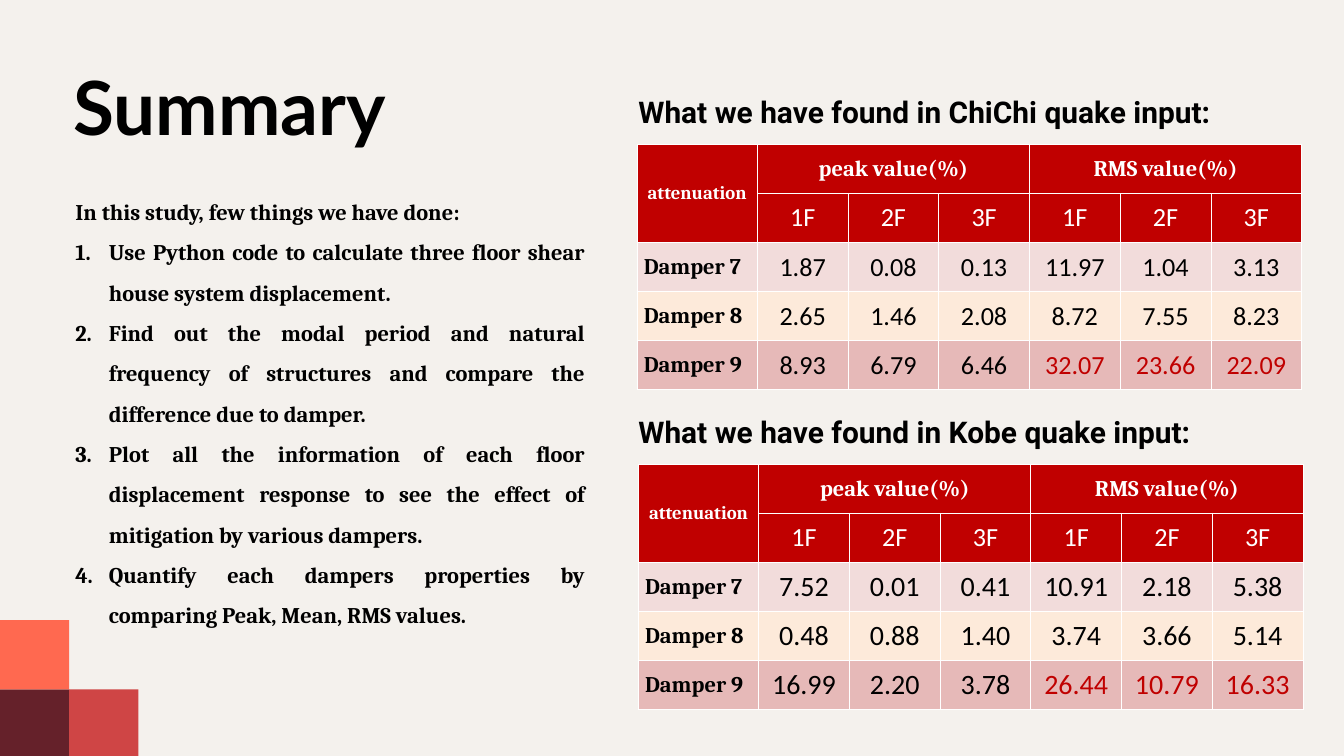
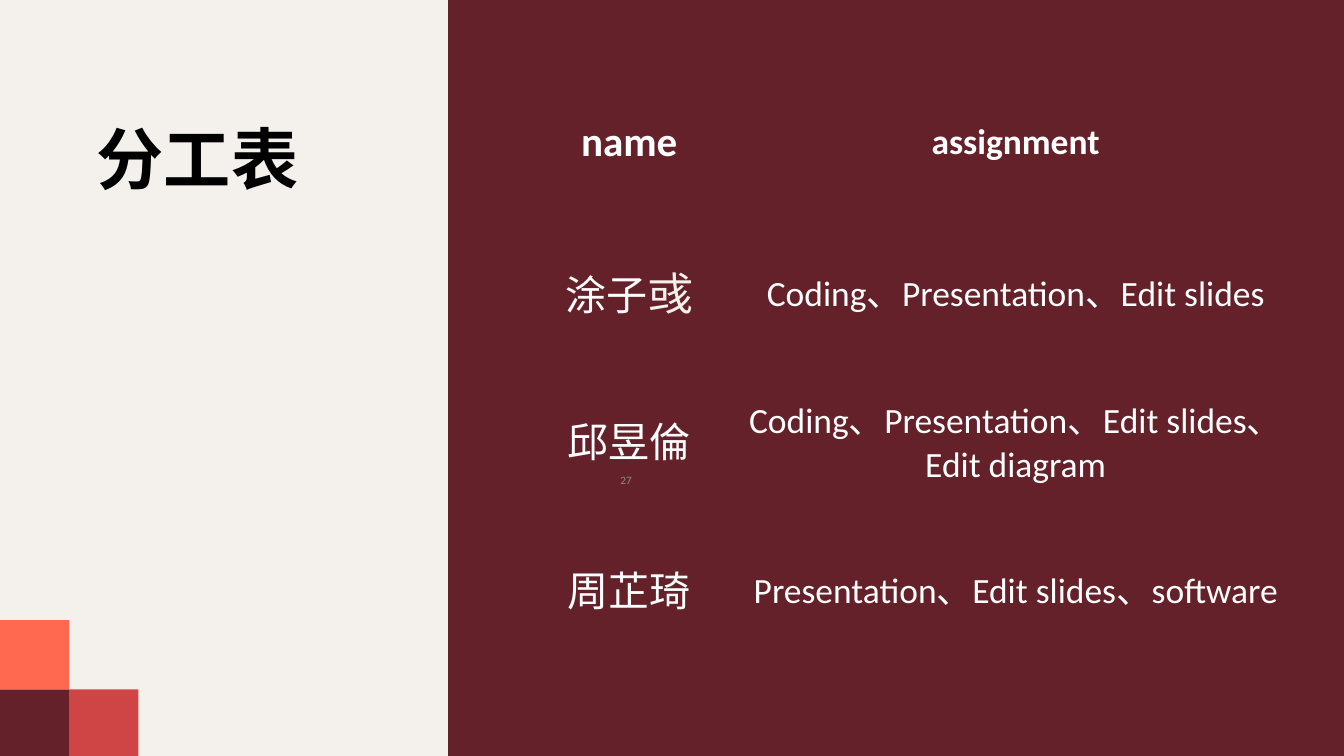
"""Build the summary slide and the division-of-work slide."""
from collections import namedtuple

from lxml.etree import SubElement
from pptx import Presentation
from pptx.dml.color import RGBColor
from pptx.enum.shapes import MSO_SHAPE
from pptx.enum.text import MSO_ANCHOR, MSO_AUTO_SIZE, PP_ALIGN
from pptx.oxml import parse_xml
from pptx.oxml.ns import nsdecls, qn
from pptx.util import Inches, Pt

CREAM = RGBColor(0xF4, 0xF1, 0xED)
WINE = RGBColor(0x65, 0x21, 0x2A)
BRICK = RGBColor(0xCF, 0x45, 0x45)
CORAL = RGBColor(0xFF, 0x69, 0x50)
RED = RGBColor(0xC0, 0x00, 0x00)
ROSE = RGBColor(0xF2, 0xDC, 0xDB)
PEACH = RGBColor(0xFD, 0xEA, 0xDA)
PINK = RGBColor(0xE6, 0xB9, 0xB8)
GREY = RGBColor(0x8C, 0x8C, 0x8C)
BLACK = RGBColor(0, 0, 0)
WHITE = RGBColor(0xFF, 0xFF, 0xFF)

CJK = "Noto Sans CJK SC"
NO_GRID = "{2D5ABB26-0587-4C30-8999-92F81FD0307C}"
Style = namedtuple("Style", "size font color bold", defaults=(BLACK, False))

HEADING = Style(32, "Roboto", bold=True)
BODY = Style(24, "Cambria", bold=True)
GROUP = BODY._replace(color=WHITE)
CORNER = GROUP._replace(size=20)
FLOOR = Style(28, "Calibri", WHITE)
NAME = Style(44, CJK, WHITE)
TASK = Style(38, "Calibri", WHITE)

STEPS = [
    "Use Python code to calculate three floor shear house system displacement.",
    "Find out the modal period and natural frequency of structures and compare "
    "the difference due to damper.",
    "Plot all the information of each floor displacement response to see the "
    "effect of mitigation by various dampers.",
    "Quantify each dampers properties by comparing Peak, Mean, RMS values.",
]
CHICHI = [
    ["1.87", "0.08", "0.13", "11.97", "1.04", "3.13"],
    ["2.65", "1.46", "2.08", "8.72", "7.55", "8.23"],
    ["8.93", "6.79", "6.46", "32.07", "23.66", "22.09"],
]
KOBE = [
    ["7.52", "0.01", "0.41", "10.91", "2.18", "5.38"],
    ["0.48", "0.88", "1.40", "3.74", "3.66", "5.14"],
    ["16.99", "2.20", "3.78", "26.44", "10.79", "16.33"],
]
WORK = [
    ([("涂子", NAME), ("彧", NAME._replace(size=48, color=CREAM))],
     "Coding、Presentation、Edit slides"),
    ([("邱昱倫", NAME)], "Coding、Presentation、Edit slides、Edit diagram"),
    ([("周芷琦", NAME)], "Presentation、Edit slides、software"),
]


class Deck:
    def __init__(self):
        self.prs = Presentation()
        self.prs.slide_width, self.prs.slide_height = Inches(20), Inches(11.25)
        self.s = None

    def slide(self, title, style, leading, left, top, width, height):
        self.s = self.prs.slides.add_slide(self.prs.slide_layouts[5])
        fill = self.s.background.fill
        fill.solid()
        fill.fore_color.rgb = CREAM
        sp = self.s.shapes.title
        sp.left, sp.top = Inches(left), Inches(top)
        sp.width, sp.height = Inches(width), Inches(height)
        p = self.frame(sp).paragraphs[0]
        p.alignment, p.line_spacing = PP_ALIGN.LEFT, Pt(leading)
        self.runs(p, [(title, style)])

    def frame(self, sp, inset=0, anchor=MSO_ANCHOR.TOP):
        tf = sp.text_frame
        tf.word_wrap, tf.auto_size = True, MSO_AUTO_SIZE.NONE
        tf.vertical_anchor = anchor
        tf.margin_left = tf.margin_right = Inches(inset)
        tf.margin_top = tf.margin_bottom = Inches(inset / 2)
        return tf

    def runs(self, p, parts):
        for text, style in parts:
            r = p.add_run()
            r.text = text
            r.font.size, r.font.name = Pt(style.size), style.font
            r.font.bold, r.font.color.rgb = style.bold, style.color
            if style.font == CJK:
                SubElement(r.font._element, qn("a:ea"), typeface=CJK)

    def text(self, left, top, width, height, inset=0, anchor=MSO_ANCHOR.TOP):
        sp = self.s.shapes.add_textbox(
            Inches(left), Inches(top), Inches(width), Inches(height))
        return self.frame(sp, inset, anchor)

    def heading(self, top, text):
        p = self.text(9.5, top, 9.26, 0.58).paragraphs[0]
        p.line_spacing = Pt(44.8)
        self.runs(p, [(text, HEADING)])

    def steps(self, tf, intro, items):
        for i, text in enumerate([intro, *items]):
            p = tf.add_paragraph() if i else tf.paragraphs[0]
            p.alignment, p.line_spacing = PP_ALIGN.JUSTIFY, 1.5
            if i:
                pPr = p._p.get_or_add_pPr()
                pPr.set("marL", str(Inches(0.5)))
                pPr.set("indent", str(-Inches(0.5)))
                SubElement(pPr, qn("a:buAutoNum"), type="arabicPeriod")
            self.runs(p, [(text, BODY)])

    def block(self, left, top, width, height, color):
        sp = self.s.shapes.add_shape(
            MSO_SHAPE.RECTANGLE,
            Inches(left), Inches(top), Inches(width), Inches(height))
        sp.shadow.inherit = False
        sp.fill.solid()
        sp.fill.fore_color.rgb = color
        sp.line.fill.background()

    def corner(self):
        side, top = 1.03, 9.23
        for col, row, color in [(0, 1, WINE), (1, 1, BRICK), (0, 0, CORAL)]:
            self.block(col * side, top + row * side, side, side, color)

    def table(self, left, top, cols, rows):
        gf = self.s.shapes.add_table(
            len(rows), len(cols), Inches(left), Inches(top),
            Inches(sum(cols)), Inches(sum(rows)))
        gf.element.find(".//" + qn("a:tableStyleId")).text = NO_GRID
        table = gf.table
        table.first_row = table.horz_banding = False
        for col, width in zip(table.columns, cols):
            col.width = Inches(width)
        for row, height in zip(table.rows, rows):
            row.height = Inches(height)
        return gf

    def cell(self, cell, parts, align=PP_ALIGN.CENTER):
        cell.vertical_anchor = MSO_ANCHOR.MIDDLE
        p = cell.text_frame.paragraphs[0]
        p.alignment = align
        self.runs(p, parts)

    def borders(self, gf, color):
        for tc in gf.element.iter(qn("a:tc")):
            tcPr = tc.get_or_add_tcPr()
            for i, side in enumerate("LRTB"):
                tcPr.insert(i, parse_xml(
                    f'<a:ln{side} {nsdecls("a")} w="12700"><a:solidFill>'
                    f'<a:srgbClr val="{color}"/></a:solidFill></a:ln{side}>'))

    def attenuation(self, left, top, values, size):
        gf = self.table(left, top, [1.79] + [1.35] * 6, [0.73] * 5)
        table = gf.table
        for row, color in enumerate([RED, RED, ROSE, PEACH, PINK]):
            for col in range(7):
                fill = table.cell(row, col).fill
                fill.solid()
                fill.fore_color.rgb = color
        table.cell(0, 0).merge(table.cell(1, 0))
        self.cell(table.cell(0, 0), [("attenuation", CORNER)])
        for col, text in [(1, "peak value(%)"), (4, "RMS value(%)")]:
            table.cell(0, col).merge(table.cell(0, col + 2))
            self.cell(table.cell(0, col), [(text, GROUP)])
        for col in range(6):
            self.cell(table.cell(1, col + 1), [(f"{col % 3 + 1}F", FLOOR)])
        for i, line in enumerate(values):
            self.cell(table.cell(i + 2, 0), [(f"Damper {i + 7}", BODY)],
                      PP_ALIGN.LEFT)
            for col, value in enumerate(line):
                color = RED if i == 2 and col >= 3 else BLACK
                self.cell(table.cell(i + 2, col + 1),
                          [(value, Style(size, "Calibri", color))])
        self.borders(gf, WHITE)

    def number(self, text):
        p = self.text(7.17, 6.95, 2.33, 0.4, 0.1, MSO_ANCHOR.MIDDLE).paragraphs[0]
        p.alignment = PP_ALIGN.RIGHT
        self.runs(p, [(text, Style(12, "Calibri", GREY))])


def summary(deck):
    deck.slide("Summary", Style(80, "Lato", bold=True), 84, 1.09, 1.07, 5.53, 1.18)
    deck.heading(1.3, "What we have found in ChiChi quake input:")
    deck.steps(deck.text(1.12, 2.75, 7.58, 6.59),
               "In this study, few things we have done:", STEPS)
    deck.corner()
    deck.heading(6.07, "What we have found in Kobe quake input:")
    deck.attenuation(9.48, 2.15, CHICHI, 28)
    deck.attenuation(9.5, 6.91, KOBE, 30)


def assignments(deck):
    deck.slide("分工表", Style(72, CJK, bold=True), 100.8, 1.44, 1.54, 6.14, 1.3)
    deck.block(6.67, 0, 13.33, 11.25, WINE)
    deck.corner()
    table = deck.table(7.75, 1.02, [3.23, 8.27], [2.21] * 4).table
    header = TASK._replace(bold=True)
    deck.cell(table.cell(0, 0), [("name", header._replace(size=44))])
    deck.cell(table.cell(0, 1), [("assignment", header)])
    for row, (name, tasks) in enumerate(WORK, 1):
        deck.cell(table.cell(row, 0), name)
        deck.cell(table.cell(row, 1), [(tasks, TASK)])
    deck.number("27")


def main():
    deck = Deck()
    summary(deck)
    assignments(deck)
    deck.prs.save("out.pptx")


if __name__ == "__main__":
    main()
